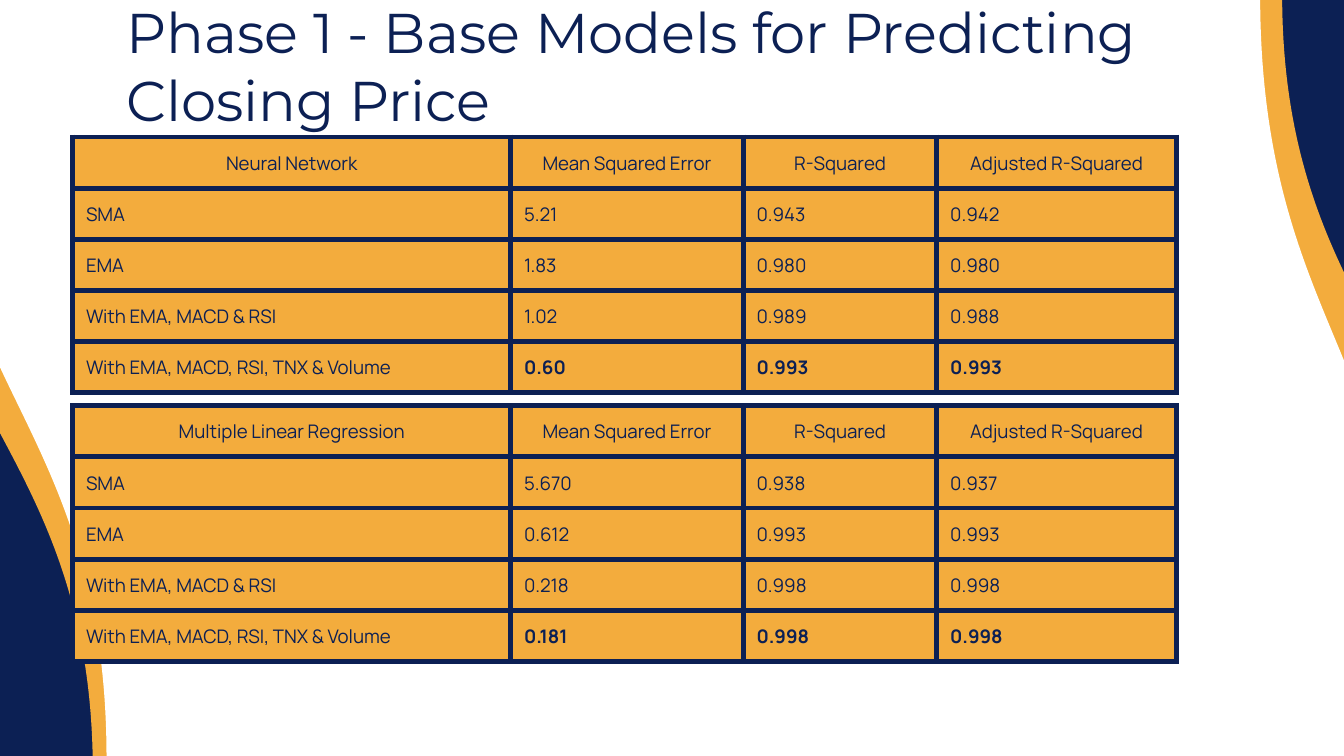
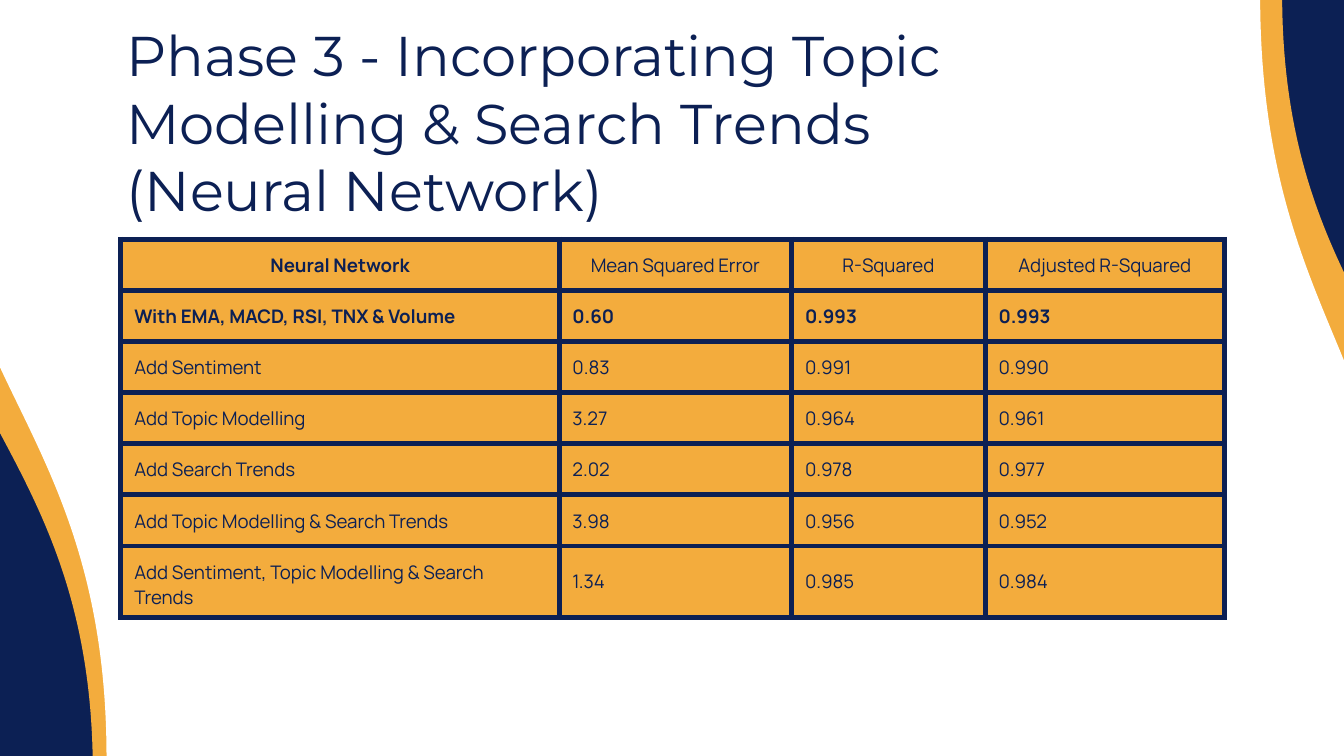
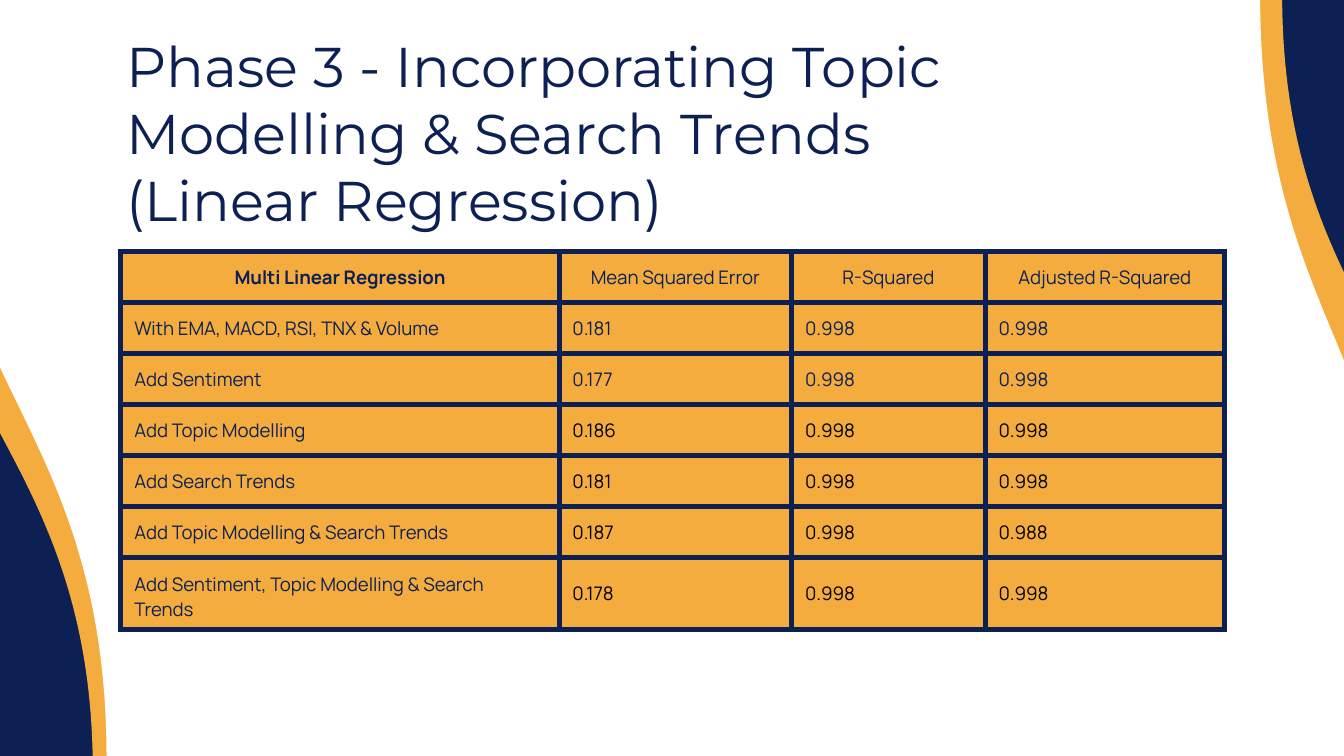
from lxml.etree import SubElement
from pptx import Presentation
from pptx.dml.color import RGBColor
from pptx.enum.shapes import MSO_SHAPE
from pptx.enum.text import MSO_ANCHOR, PP_ALIGN
from pptx.oxml.ns import qn
from pptx.util import Pt

# Shared look
NAVY = RGBColor(0x0C, 0x20, 0x54)
AMBER = RGBColor(0xF3, 0xAC, 0x3D)
WHITE = RGBColor(0xFF, 0xFF, 0xFF)
BLACK = RGBColor(0x00, 0x00, 0x00)
TITLE_FONT = "Montserrat"
TABLE_FONT = "Manrope"
INSET = Pt(7.2)
COLUMN_WIDTHS = (234.7, 124.6, 103.7, 128.2)
ROW_HEIGHT = 27.4
METRICS = ("Mean Squared Error", "R-Squared", "Adjusted R-Squared")

# Wavy bands: left, top, width, height, rotation, colour
WAVES = (
    (-12.2, -27.4, 409, 472.3, 90, AMBER),
    (339.8, -34.6, 409, 472.3, 270, AMBER),
    (359.3, 17.3, 409, 368.6, 270, WHITE),
    (-20.2, -29.5, 424.1, 446.4, 90, WHITE),
)

# Row labels
BASE_FEATURES = ("SMA", "EMA", "With EMA, MACD & RSI",
                 "With EMA, MACD, RSI, TNX & Volume")
ADDED_FEATURES = (
    BASE_FEATURES[-1],
    "Add Sentiment",
    "Add Topic Modelling",
    "Add Search Trends",
    "Add Topic Modelling & Search Trends",
    "Add Sentiment, Topic Modelling & Search Trends",
)

# Scores, one row for each label
BASE_NETWORK = (
    ("5.21", "0.943", "0.942"),
    ("1.83", "0.980", "0.980"),
    ("1.02", "0.989", "0.988"),
    ("0.60", "0.993", "0.993"),
)
BASE_REGRESSION = (
    ("5.670", "0.938", "0.937"),
    ("0.612", "0.993", "0.993"),
    ("0.218", "0.998", "0.998"),
    ("0.181", "0.998", "0.998"),
)
ADDED_NETWORK = (
    ("0.60", "0.993", "0.993"),
    ("0.83", "0.991", "0.990"),
    ("3.27", "0.964", "0.961"),
    ("2.02", "0.978", "0.977"),
    ("3.98", "0.956", "0.952"),
    ("1.34", "0.985", "0.984"),
)
ADDED_REGRESSION = (
    ("0.181", "0.998", "0.998"),
    ("0.177", "0.998", "0.998"),
    ("0.186", "0.998", "0.998"),
    ("0.181", "0.998", "0.998"),
    ("0.187", "0.998", "0.988"),
    ("0.178", "0.998", "0.998"),
)


def add_wave(page, left, top, width, height, rotation, colour):
    wave = page.shapes.add_shape(MSO_SHAPE.FLOWCHART_DOCUMENT, Pt(left), Pt(top),
                                 Pt(width), Pt(height))
    wave.rotation = rotation
    wave.shadow.inherit = False
    wave.fill.solid()
    wave.fill.fore_color.rgb = colour
    wave.line.fill.background()


def add_page(deck):
    page = deck.slides.add_slide(deck.slide_layouts[6])
    page.background.fill.solid()
    page.background.fill.fore_color.rgb = NAVY
    for wave in WAVES:
        add_wave(page, *wave)
    return page


def add_span(para, text, font, size, colour=NAVY, bold=False):
    span = para.add_run()
    span.text = text
    span.font.name = font
    span.font.size = Pt(size)
    span.font.color.rgb = colour
    span.font.bold = bold


def add_title(page, top, *lines):
    box = page.shapes.add_textbox(Pt(60.5), Pt(top), Pt(607), Pt(38.2))
    frame = box.text_frame
    frame.word_wrap = True
    frame.vertical_anchor = MSO_ANCHOR.MIDDLE
    frame.margin_left = frame.margin_right = INSET
    frame.margin_top = frame.margin_bottom = INSET
    para = frame.paragraphs[0]
    for index, line in enumerate(lines):
        if index:
            para.add_line_break()
        add_span(para, line, TITLE_FONT, 30)


def add_borders(cell):
    properties = cell._tc.get_or_add_tcPr()
    for side in ("a:lnL", "a:lnR", "a:lnT", "a:lnB"):
        line = SubElement(properties, qn(side), w=str(Pt(3)))
        fill = SubElement(line, qn("a:solidFill"))
        SubElement(fill, qn("a:srgbClr"), val=str(NAVY))


def style_cell(cell):
    add_borders(cell)
    cell.fill.solid()
    cell.fill.fore_color.rgb = AMBER
    cell.vertical_anchor = MSO_ANCHOR.MIDDLE
    cell.margin_left = cell.margin_right = INSET
    cell.margin_top = cell.margin_bottom = INSET


def add_score_table(page, left, top, model, features, scores,
                    bold_cells=(), black_cells=()):
    rows = [(model, *METRICS)]
    rows += [(feature, *values) for feature, values in zip(features, scores)]
    table = page.shapes.add_table(
        len(rows), len(COLUMN_WIDTHS), Pt(left), Pt(top),
        Pt(sum(COLUMN_WIDTHS)), Pt(ROW_HEIGHT * len(rows))).table
    for column, width in zip(table.columns, COLUMN_WIDTHS):
        column.width = Pt(width)
    for row_index, row in enumerate(rows):
        table.rows[row_index].height = Pt(ROW_HEIGHT)
        for column_index, text in enumerate(row):
            place = (row_index, column_index)
            cell = table.cell(*place)
            style_cell(cell)
            para = cell.text_frame.paragraphs[0]
            para.alignment = PP_ALIGN.LEFT if row_index else PP_ALIGN.CENTER
            add_span(para, text, TABLE_FONT, 10,
                     BLACK if place in black_cells else NAVY,
                     place in bold_cells)


def main():
    deck = Presentation()
    deck.slide_width, deck.slide_height = Pt(720), Pt(405)

    # Base models
    page = add_page(deck)
    add_title(page, 15.8, "Phase 1 - Base Models for Predicting Closing Price")
    best_scores = [(4, column) for column in (1, 2, 3)]
    add_score_table(page, 38.9, 73.4, "Neural Network", BASE_FEATURES,
                    BASE_NETWORK, best_scores)
    add_score_table(page, 38.9, 217.4, "Multiple Linear Regression", BASE_FEATURES,
                    BASE_REGRESSION, best_scores)

    # Added topics and trends, neural network
    topic_title = "Phase 3 - Incorporating Topic Modelling & Search Trends"
    page = add_page(deck)
    add_title(page, 46.1, topic_title, "(Neural Network)")
    best_row = [(1, column) for column in range(4)]
    add_score_table(page, 64.8, 128.2, "Neural Network", ADDED_FEATURES,
                    ADDED_NETWORK, [(0, 0), *best_row])

    # Added topics and trends, linear regression
    page = add_page(deck)
    add_title(page, 51.8, topic_title, "(Linear Regression)")
    later_scores = [(row, column) for row in range(3, 7) for column in (1, 2, 3)]
    add_score_table(page, 64.8, 134.6, "Multi Linear Regression", ADDED_FEATURES,
                    ADDED_REGRESSION, [(0, 0)], later_scores)

    deck.save("out.pptx")


if __name__ == "__main__":
    main()
